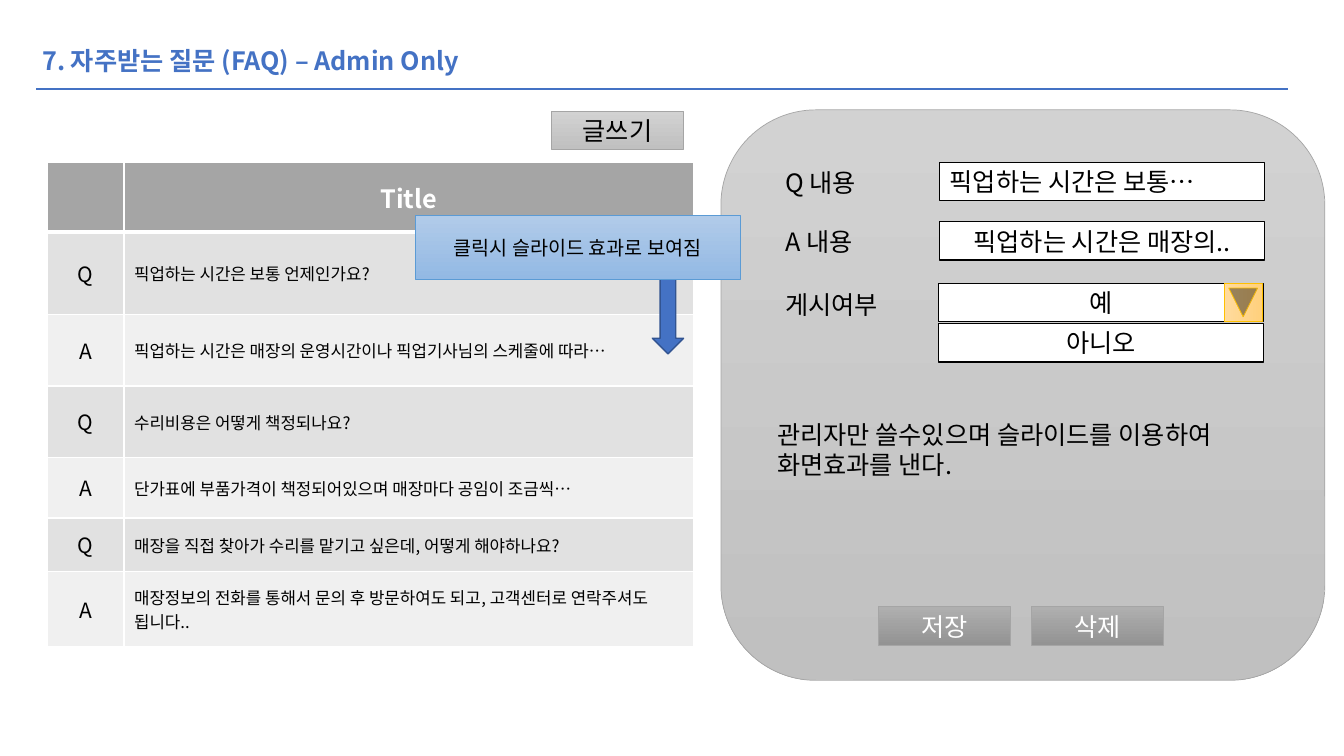
from lxml.etree import SubElement
from pptx import Presentation
from pptx.dml.color import RGBColor
from pptx.enum.shapes import MSO_CONNECTOR, MSO_SHAPE
from pptx.enum.text import MSO_ANCHOR, MSO_AUTO_SIZE, PP_ALIGN
from pptx.oxml.ns import qn
from pptx.util import Inches, Pt

FONT = "Noto Sans CJK KR"
COLORS = {
    "white": "FFFFFF", "black": "000000", "blue": "4472C4", "blue_edge": "325491",
    "gray": "A5A5A5", "question": "E1E1E1", "answer": "F0F0F0",
    "callout_edge": "5B9BD5", "gold": "FFC000",
}
GRADIENTS = {
    "light": ("D2D2D2", "C0C0C0"), "dark": ("AFAFAF", "939393"),
    "callout": ("B1CBE9", "93B9E4"), "gold": ("FFDB9E", "FFD07C"),
}
FAQ_ROWS = [
    ("Q", "픽업하는 시간은 보통 언제인가요?", 0.82),
    ("A", "픽업하는 시간은 매장의 운영시간이나 픽업기사님의 스케줄에 따라…", 0.71),
    ("Q", "수리비용은 어떻게 책정되나요?", 0.71),
    ("A", "단가표에 부품가격이 책정되어있으며 매장마다 공임이 조금씩…", 0.6),
    ("Q", "매장을 직접 찾아가 수리를 맡기고 싶은데, 어떻게 해야하나요?", 0.53),
    ("A", "매장정보의 전화를 통해서 문의 후 방문하여도 되고, 고객센터로 연락주셔도 됩니다..", 0.75),
]
HEADER_HEIGHT = 0.69
FIELD_SIZE = (3.22, 0.38)
BUTTON_SIZE = (1.31, 0.38)


def rgb(name):
    return RGBColor.from_string(COLORS[name])


def write(text_frame, text, size=18, color="black", align=PP_ALIGN.LEFT, bold=False):
    text_frame.text = text
    paragraph = text_frame.paragraphs[0]
    paragraph.alignment = align
    for run in paragraph.runs:
        run.font.size = Pt(size)
        run.font.bold = bold
        run.font.color.rgb = rgb(color)
        run.font.name = FONT
        SubElement(run.font._element, qn("a:ea"), typeface=FONT)


def add_label(slide, box, text, **style):
    label = slide.shapes.add_textbox(*map(Inches, box))
    label.text_frame.word_wrap = True
    label.text_frame.auto_size = MSO_AUTO_SIZE.SHAPE_TO_FIT_TEXT
    write(label.text_frame, text, **style)


def add_block(slide, kind, box, fill, line, line_width=0.5):
    shape = slide.shapes.add_shape(kind, *map(Inches, box))
    shape.shadow.inherit = False
    if fill in GRADIENTS:
        shape.fill.gradient()
        shape.fill.gradient_angle = 270
        for stop, color in zip(shape.fill.gradient_stops, GRADIENTS[fill]):
            stop.color.rgb = RGBColor.from_string(color)
    else:
        shape.fill.solid()
        shape.fill.fore_color.rgb = rgb(fill)
    shape.line.color.rgb = rgb(line)
    shape.line.width = Pt(line_width)
    return shape


def add_text_block(slide, box, text, fill, line, line_width=0.5,
                   align=PP_ALIGN.CENTER, **style):
    shape = add_block(slide, MSO_SHAPE.RECTANGLE, box, fill, line, line_width)
    shape.text_frame.word_wrap = True
    shape.text_frame.vertical_anchor = MSO_ANCHOR.MIDDLE
    write(shape.text_frame, text, align=align, **style)


def add_field(slide, left, top, text, align=PP_ALIGN.CENTER):
    add_text_block(slide, (left, top, *FIELD_SIZE), text, "white", "black", 1, align)


def add_button(slide, left, top, text, fill, color):
    add_text_block(slide, (left, top, *BUTTON_SIZE), text, fill, "gray", color=color)


def add_heading(slide, left, top, width):
    add_label(slide, (left - 0.04, top, 7.53, 0.4), "7. 자주받는 질문 (FAQ) – Admin Only",
              color="blue", bold=True)
    rule_top = Inches(top + 0.48)
    rule = slide.shapes.add_connector(
        MSO_CONNECTOR.STRAIGHT, Inches(left), rule_top, Inches(left + width), rule_top)
    rule.line.color.rgb = rgb("blue")
    rule.line.width = Pt(1.5)
    SubElement(rule._element.spPr, qn("a:effectLst"))


def style_cell(cell, fill, bottom_width=1):
    properties = cell._tc.get_or_add_tcPr()
    for side, width in (("L", 1), ("R", 1), ("T", 1), ("B", bottom_width)):
        border = SubElement(properties, qn(f"a:ln{side}"), w=str(Pt(width)))
        border_fill = SubElement(border, qn("a:solidFill"))
        SubElement(border_fill, qn("a:srgbClr"), val=COLORS["white"])
    cell.fill.solid()
    cell.fill.fore_color.rgb = rgb(fill)
    cell.vertical_anchor = MSO_ANCHOR.MIDDLE


def add_faq_table(slide, left, top, column_widths):
    heights = [HEADER_HEIGHT] + [height for _, _, height in FAQ_ROWS]
    box = (left, top, sum(column_widths), sum(heights))
    table = slide.shapes.add_table(len(heights), 2, *map(Inches, box)).table
    for column, width in zip(table.columns, column_widths):
        column.width = Inches(width)
    for row, height in zip(table.rows, heights):
        row.height = Inches(height)
    for cell in table.rows[0].cells:
        style_cell(cell, "gray", 3)
    write(table.cell(0, 1).text_frame, "Title", color="white",
          align=PP_ALIGN.CENTER, bold=True)
    for index, (mark, sentence, _) in enumerate(FAQ_ROWS, 1):
        mark_cell, sentence_cell = table.rows[index].cells
        for cell in (mark_cell, sentence_cell):
            style_cell(cell, "question" if mark == "Q" else "answer")
        write(mark_cell.text_frame, mark, size=15, align=PP_ALIGN.CENTER)
        write(sentence_cell.text_frame, sentence, size=12)


def add_faq_list(slide, left, top):
    add_button(slide, left + 5, top, "글쓰기", "light", "black")
    add_faq_table(slide, left, top + 0.51, (0.76, 5.65))


def add_click_callout(slide, left, top):
    add_block(slide, MSO_SHAPE.DOWN_ARROW, (left + 2.35, top + 0.28, 0.31, 1.09),
              "blue", "blue_edge", 1)
    add_text_block(slide, (left, top, 3.22, 0.63), "클릭시 슬라이드 효과로 보여짐",
                   "callout", "callout_edge", size=14)


def add_editor(slide, left, top, width, height):
    add_block(slide, MSO_SHAPE.ROUNDED_RECTANGLE, (left, top, width, height), "light", "gray")
    field_left = left + 2.17
    choice_top = top + 1.72
    for text, offset in (("Q 내용", 0.52), ("A 내용", 1.11), ("게시여부", 1.73)):
        add_label(slide, (left + 0.54, top + offset, 1.64, 0.4), text)
    add_field(slide, field_left, top + 0.52, "픽업하는 시간은 보통…", PP_ALIGN.LEFT)
    add_field(slide, field_left, top + 1.11, "픽업하는 시간은 매장의..")
    add_field(slide, field_left - 0.01, choice_top, "예")
    add_field(slide, field_left - 0.01, choice_top + 0.4, "아니오")
    drop_down = add_block(slide, MSO_SHAPE.ACTION_BUTTON_BACK_OR_PREVIOUS,
                          (left + 4.99, choice_top, 0.38, 0.38), "gold", "gold")
    drop_down.rotation = 270
    add_label(slide, (left + 0.46, top + 3.02, 5.44, 0.71),
              "관리자만 쓸수있으며 슬라이드를 이용하여 화면효과를 낸다.")
    for index, text in enumerate(("저장", "삭제")):
        add_button(slide, left + 1.56 + index * 1.52, top + 4.93, text, "dark", "white")


def main():
    presentation = Presentation()
    presentation.slide_width = Inches(13.33)
    presentation.slide_height = Inches(7.5)
    slide = presentation.slides.add_slide(presentation.slide_layouts[6])
    add_heading(slide, 0.36, 0.4, 12.41)
    add_editor(slide, 7.15, 1.09, 5.99, 5.66)
    add_faq_list(slide, 0.47, 1.1)
    add_click_callout(slide, 4.12, 2.14)
    presentation.save("out.pptx")


if __name__ == "__main__":
    main()
